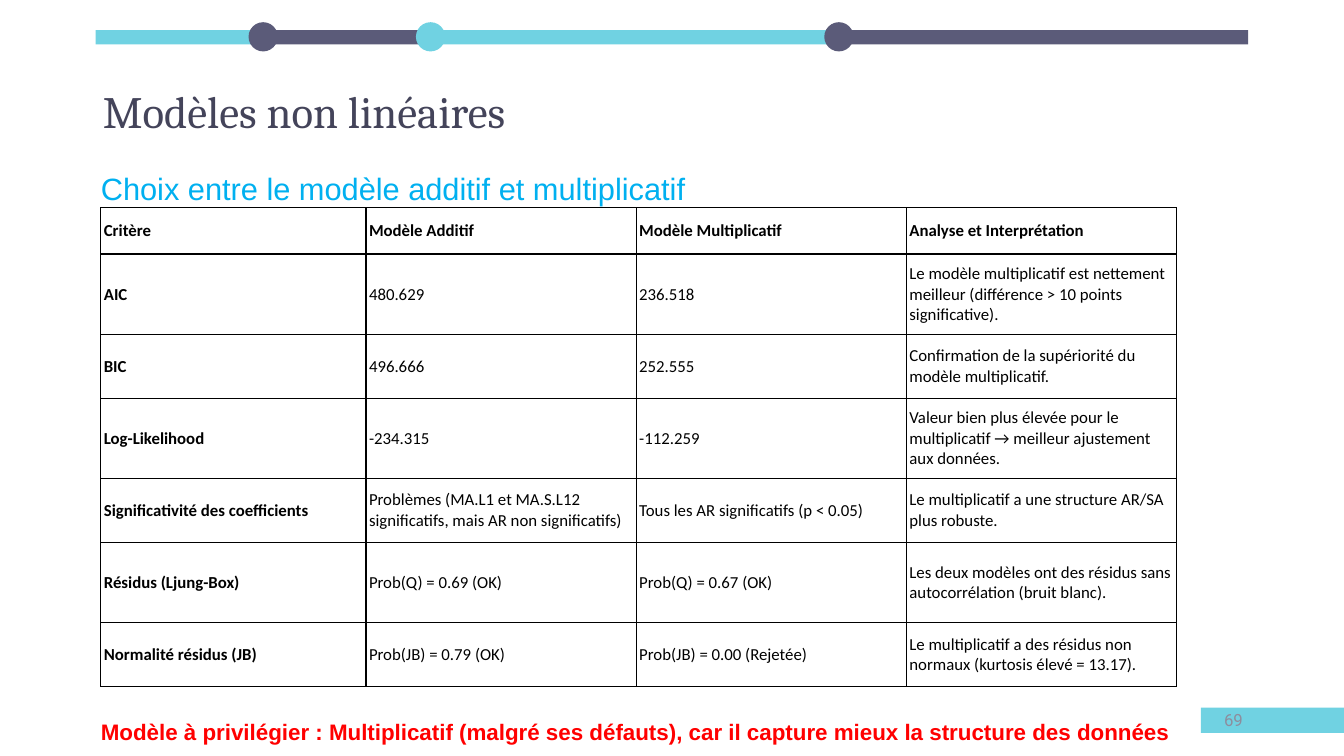
from lxml.etree import SubElement
from pptx import Presentation
from pptx.dml.color import RGBColor
from pptx.enum.shapes import MSO_SHAPE
from pptx.enum.text import MSO_ANCHOR
from pptx.oxml.ns import qn
from pptx.util import Inches, Pt

THEME = {
    "cyan": RGBColor.from_string("70D2E2"),
    "slate": RGBColor.from_string("5B5B79"),
    "border": "000000",
    "title": {"name": "Cambria", "size": Pt(32), "color": "44445A"},
    "subtitle": {"name": "Arial", "size": Pt(22), "color": "00B0F0"},
    "conclusion": {"name": "Arial", "size": Pt(16), "color": "FF0000", "bold": True},
    "number": {"name": "Roboto", "size": Pt(12), "color": "8D8D9D"},
    "heading": {"name": "Calibri", "size": Pt(12), "color": "000000", "bold": True},
    "cell": {"name": "Calibri", "size": Pt(12), "color": "000000", "bold": False},
}


def write(frame, text, style):
    span = frame.paragraphs[0].add_run()
    span.text = text
    for key, value in THEME[style].items():
        if key == "color":
            span.font.color.rgb = RGBColor.from_string(value)
        else:
            setattr(span.font, key, value)


def add_block(kind, left, top, width, height, color):
    block = page.shapes.add_shape(
        kind, Inches(left), Inches(top), Inches(width), Inches(height)
    )
    block.shadow.inherit = False
    block.fill.solid()
    block.fill.fore_color.rgb = THEME[color]
    block.line.fill.background()


deck = Presentation()
deck.slide_width = Inches(13.33)
deck.slide_height = Inches(7.5)
page = deck.slides.add_slide(deck.slide_layouts[6])

stops = [0.95, 2.61, 4.27, 8.32, 12.38]
bar_colors = ["cyan", "slate", "cyan", "slate"]
for start, end, color in zip(stops, stops[1:], bar_colors):
    add_block(MSO_SHAPE.RECTANGLE, start, 0.3, end - start, 0.14, color)
for center, color in zip(stops[1:-1], ["slate", "cyan", "slate"]):
    add_block(MSO_SHAPE.OVAL, center - 0.145, 0.22, 0.29, 0.29, color)
add_block(MSO_SHAPE.RECTANGLE, 11.91, 7.02, 1.42, 0.25, "cyan")

texts = [
    ("Modèles non linéaires", "title", 1.02, 0.83, 5.4, 0.55),
    ("69", "number", 12.14, 7.04, 0.25, 0.23),
    ("Choix entre le modèle additif et multiplicatif", "subtitle", 1, 1.68, 11.25, 0.36),
    (
        "Modèle à privilégier : Multiplicatif (malgré ses défauts), "
        "car il capture mieux la structure des données",
        "conclusion", 1, 7.12, 11.25, 0.26,
    ),
]
for text, style, left, top, width, height in texts:
    box = page.shapes.add_textbox(
        Inches(left), Inches(top), Inches(width), Inches(height)
    )
    frame_format = {
        "word_wrap": True,
        "margin_left": 0,
        "margin_right": 0,
        "margin_top": 0,
        "margin_bottom": 0,
    }
    for key, value in frame_format.items():
        setattr(box.text_frame, key, value)
    write(box.text_frame, text, style)

rows = [
    ("Critère", "Modèle Additif", "Modèle Multiplicatif", "Analyse et Interprétation"),
    ("AIC", "480.629", "236.518",
     "Le modèle multiplicatif est nettement meilleur (différence > 10 points significative)."),
    ("BIC", "496.666", "252.555",
     "Confirmation de la supériorité du modèle multiplicatif."),
    ("Log-Likelihood", "-234.315", "-112.259",
     "Valeur bien plus élevée pour le multiplicatif → meilleur ajustement aux données."),
    ("Significativité des coefficients",
     "Problèmes (MA.L1 et MA.S.L12 significatifs, mais AR non significatifs)",
     "Tous les AR significatifs (p < 0.05)",
     "Le multiplicatif a une structure AR/SA plus robuste."),
    ("Résidus (Ljung-Box)", "Prob(Q) = 0.69 (OK)", "Prob(Q) = 0.67 (OK)",
     "Les deux modèles ont des résidus sans autocorrélation (bruit blanc)."),
    ("Normalité résidus (JB)", "Prob(JB) = 0.79 (OK)", "Prob(JB) = 0.00 (Rejetée)",
     "Le multiplicatif a des résidus non normaux (kurtosis élevé = 13.17)."),
]
column_widths = [2.63, 2.68, 2.68, 2.68]
row_heights = [0.46, 0.8, 0.63, 0.8, 0.63, 0.8, 0.63]
cell_format = {
    "vertical_anchor": MSO_ANCHOR.MIDDLE,
    "margin_left": Inches(0.03),
    "margin_right": Inches(0.03),
    "margin_top": Inches(0.03),
    "margin_bottom": Inches(0.03),
}
table = page.shapes.add_table(
    len(rows), len(column_widths), Inches(1), Inches(2.06),
    Inches(sum(column_widths)), Inches(sum(row_heights)),
).table
table.first_row = False
table.horz_banding = False
for column, width in zip(table.columns, column_widths):
    column.width = Inches(width)
for row, height in zip(table.rows, row_heights):
    row.height = Inches(height)

for row_index, row_texts in enumerate(rows):
    for column_index, text in enumerate(row_texts):
        cell = table.cell(row_index, column_index)
        for key, value in cell_format.items():
            setattr(cell, key, value)
        is_heading = row_index == 0 or column_index == 0
        write(cell.text_frame, text, "heading" if is_heading else "cell")
        properties = cell._tc.get_or_add_tcPr()
        for side in ("a:lnL", "a:lnR", "a:lnT", "a:lnB"):
            border = SubElement(properties, qn(side), w=str(Pt(1)))
            fill = SubElement(border, qn("a:solidFill"))
            SubElement(fill, qn("a:srgbClr"), val=THEME["border"])
        cell.fill.background()

deck.save("out.pptx")
